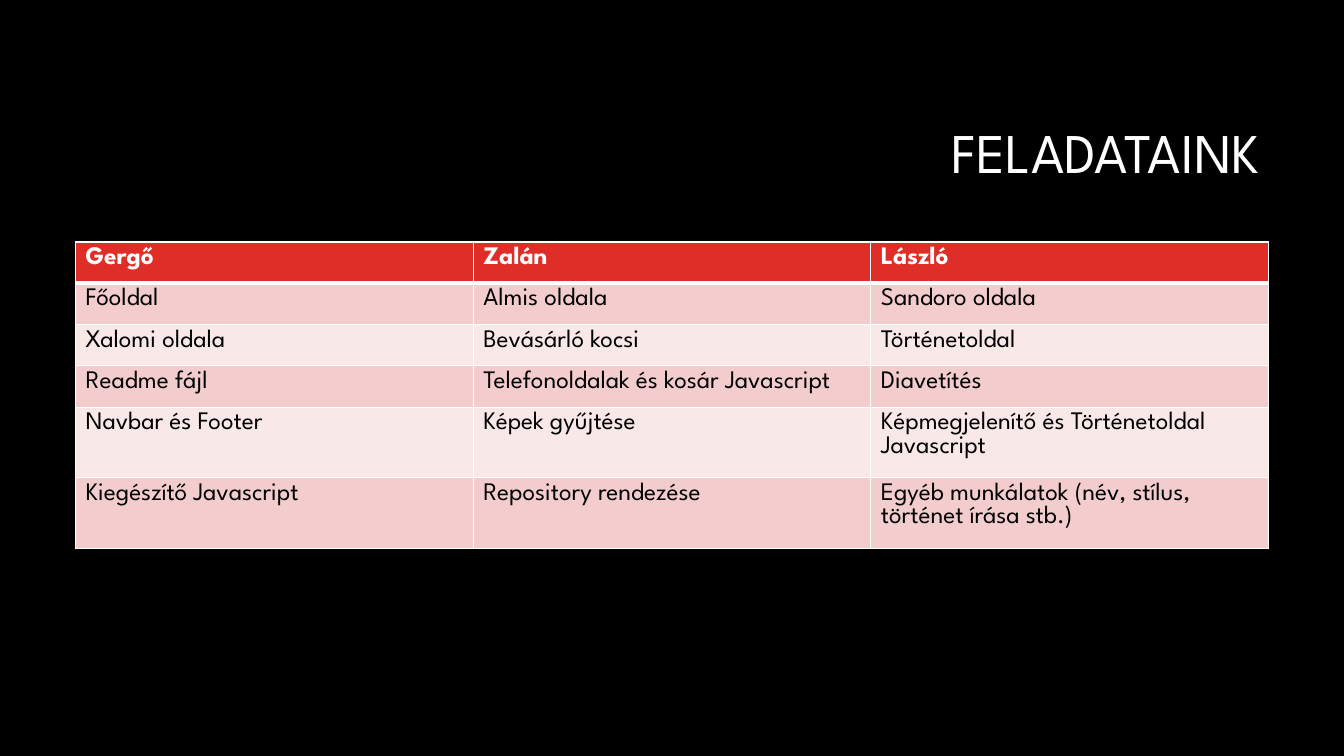
from lxml.etree import SubElement
from pptx import Presentation
from pptx.dml.color import RGBColor
from pptx.enum.text import MSO_ANCHOR, PP_ALIGN
from pptx.oxml.ns import qn
from pptx.util import Inches, Pt

TITLE = "FELADATAINK"
TASKS = {
    "Gergő": ["Főoldal", "Xalomi oldala", "Readme fájl", "Navbar és Footer",
              "Kiegészítő Javascript"],
    "Zalán": ["Almis oldala", "Bevásárló kocsi",
              "Telefonoldalak és kosár Javascript", "Képek gyűjtése",
              "Repository rendezése"],
    "László": ["Sandoro oldala", "Történetoldal", "Diavetítés",
               "Képmegjelenítő és Történetoldal Javascript",
               "Egyéb munkálatok (név, stílus, történet írása stb.)"],
}
THEME = {
    "font": "League Spartan", "title_size": 40, "cell_size": 18,
    "background": "000000", "light": "FFFFFF", "dark": "000000",
    "header": "DF2E28", "bands": ("F3CDCD", "F9E8E8"),
    "rule": 1, "header_rule": 3,
}
SLIDE_W, SLIDE_H = 13.33, 7.5
MARGIN = 0.75
TABLE_TOP = SLIDE_H * 0.32
ROW_H = 0.41
TITLE_BOX = (3.17, 0.84, 9.42, 1.41)


def style_text(frame, size, color, bold=False):
    """Format every run of a text frame."""
    for paragraph in frame.paragraphs:
        for run in paragraph.runs:
            run.font.name = THEME["font"]
            run.font.size = Pt(size)
            run.font.bold = bold
            run.font.color.rgb = RGBColor.from_string(color)


def set_borders(cell, widths):
    """Draw cell borders; widths maps the sides L, R, T, B to points."""
    properties = cell._tc.get_or_add_tcPr()
    for position, (side, width) in enumerate(widths.items()):
        line = SubElement(properties, qn(f"a:ln{side}"), w=str(Pt(width)))
        fill = SubElement(line, qn("a:solidFill"))
        SubElement(fill, qn("a:srgbClr"), val=THEME["light"])
        properties.insert(position, line)


def add_title(slide):
    """Place the right-aligned title."""
    box = slide.shapes.add_textbox(*map(Inches, TITLE_BOX))
    frame = box.text_frame
    frame.word_wrap = True
    frame.vertical_anchor = MSO_ANCHOR.MIDDLE
    frame.text = TITLE
    frame.paragraphs[0].alignment = PP_ALIGN.RIGHT
    frame.paragraphs[0].line_spacing = 0.9
    style_text(frame, THEME["title_size"], THEME["light"])


def add_task_table(slide):
    """Build one column per person, with a header and banded rows."""
    rows = [list(TASKS), *zip(*TASKS.values())]
    table = slide.shapes.add_table(
        len(rows), len(TASKS), Inches(MARGIN), Inches(TABLE_TOP),
        Inches(SLIDE_W - 2 * MARGIN), Inches(ROW_H * len(rows))).table
    for r, row in enumerate(rows):
        is_header = r == 0
        fill = THEME["header"] if is_header else THEME["bands"][(r - 1) % 2]
        color = THEME["light"] if is_header else THEME["dark"]
        borders = dict.fromkeys("LRTB", THEME["rule"])
        if r < 2:
            borders["B" if is_header else "T"] = THEME["header_rule"]
        for c, task in enumerate(row):
            cell = table.cell(r, c)
            cell.text_frame.text = task
            style_text(cell.text_frame, THEME["cell_size"], color, is_header)
            cell.fill.solid()
            cell.fill.fore_color.rgb = RGBColor.from_string(fill)
            set_borders(cell, borders)


deck = Presentation()
deck.slide_width, deck.slide_height = Inches(SLIDE_W), Inches(SLIDE_H)
slide = deck.slides.add_slide(deck.slide_layouts[6])
slide.background.fill.solid()
slide.background.fill.fore_color.rgb = RGBColor.from_string(THEME["background"])
add_title(slide)
add_task_table(slide)
deck.save("out.pptx")
